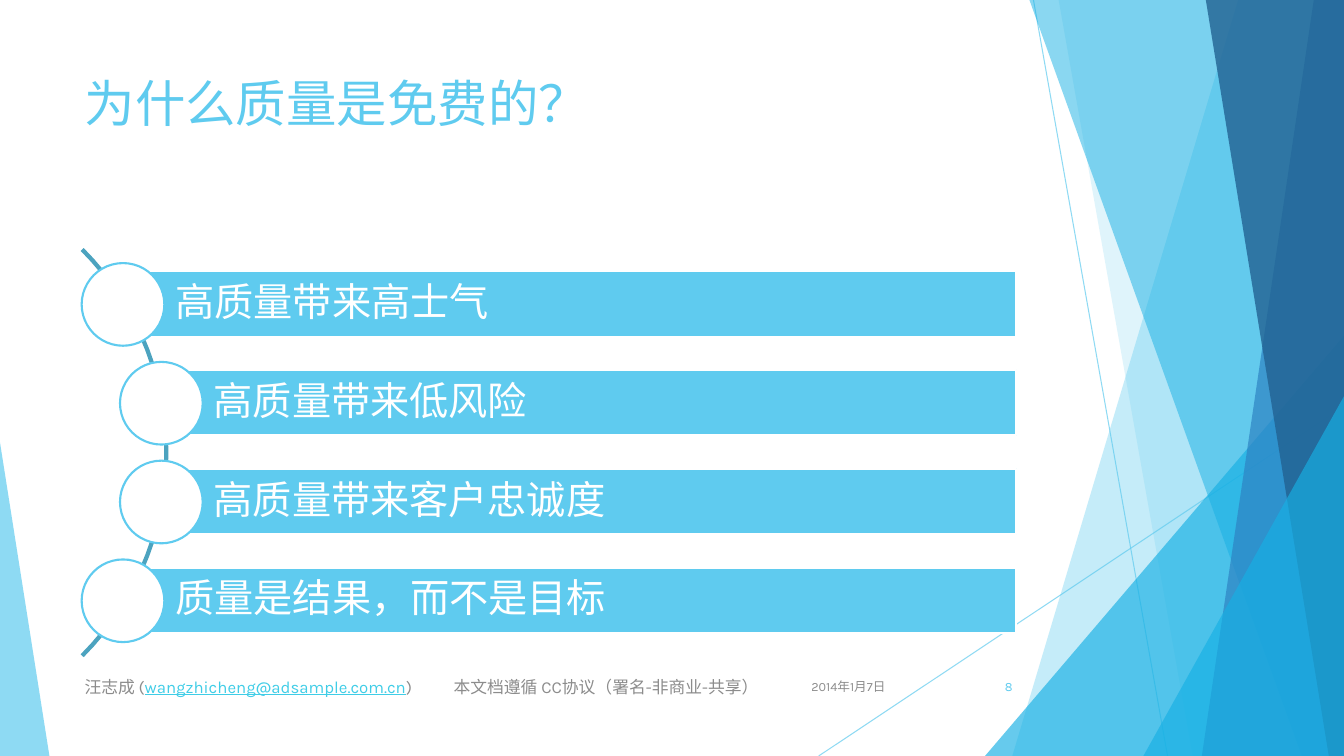
from dataclasses import dataclass
from math import cos, radians, sin

from lxml.etree import SubElement
from pptx import Presentation
from pptx.dml.color import RGBColor
from pptx.enum.shapes import MSO_CONNECTOR, MSO_SHAPE
from pptx.enum.text import MSO_ANCHOR, MSO_AUTO_SIZE, PP_ALIGN
from pptx.oxml.ns import qn
from pptx.util import Pt

PX = 9144  # 100 px to the inch
W, H = 1333, 750
SKY, CYAN, BLUE, NAVY = "5FCBEF", "17B0E4", "2E83C3", "226292"
ARC, LINK, GREY, WHITE = "4CA3BF", "3FCDE7", "8C8C8C", "FFFFFF"
FONT = "Karla"


@dataclass
class Shard:
    """A quadrilateral that reaches the right edge of the slide."""
    top: int
    bottom: int
    color: str
    alpha: int


@dataclass
class Corner:
    """A right-angled triangle standing on the bottom edge."""
    x: int
    y: int
    w: int
    apex: int
    color: str
    alpha: int


@dataclass
class Ray:
    x1: int
    y1: int
    x2: int
    y2: int


@dataclass
class Reason:
    text: str
    x: int


BACKDROP = [
    Ray(1025, 0, 1158, H),
    Ray(W, 403, 812, H),
    Shard(1228, 1004, SKY, 36),
    Shard(1050, 1183, SKY, 20),
    Corner(977, 333, 356, 1, CYAN, 66),
    Shard(1021, 1291, CYAN, 50),
    Shard(1303, 1192, BLUE, 70),
    Shard(1196, 1318, NAVY, 80),
    Corner(1134, 393, 199, 1, CYAN, 66),
    Corner(0, 439, 49, 0, SKY, 70),
]
REASONS = [
    Reason("高质量带来高士气", 122),
    Reason("高质量带来低风险", 160),
    Reason("高质量带来客户忠诚度", 160),
    Reason("质量是结果，而不是目标", 122),
]
BAR_TOP, BAR_STEP, BAR_H, BAR_RIGHT = 269, 98, 65, 1008
DOT = 82
ARC_X, ARC_Y, ARC_R = -120, 449, 285


def px(n: float) -> int:
    return round(n * PX)


def paint(fmt, color: str, alpha: int = 100) -> None:
    """Give a fill a solid colour with an opacity in percent."""
    fmt.solid()
    fmt.fore_color.rgb = RGBColor.from_string(color)
    if alpha < 100:
        clr = fmt._xPr.find(qn("a:solidFill"))[0]
        SubElement(clr, qn("a:alpha"), val=str(alpha * 1000))


def style(sp, fill: str = "", line: str = "", width: float = 1.5, alpha: int = 100) -> None:
    sp.shadow.inherit = False
    if fill:
        paint(sp.fill, fill, alpha)
    else:
        sp.fill.background()
    if line:
        paint(sp.line.fill, line)
        sp.line.width = Pt(width)
    else:
        sp.line.fill.background()


def add_run(p, text: str, size: int, color: str, underline: bool = False) -> None:
    r = p.add_run()
    r.text = text
    r.font.name, r.font.size = FONT, Pt(size)
    r.font.color.rgb = RGBColor.from_string(color)
    r.font.underline = underline


def add_box(s, x: int, w: int, align=PP_ALIGN.LEFT):
    """Add a footer box and return its paragraph."""
    tf = s.shapes.add_textbox(px(x), px(661), px(w), px(40)).text_frame
    tf.word_wrap = True
    tf.vertical_anchor = MSO_ANCHOR.MIDDLE
    p = tf.paragraphs[0]
    p.alignment = align
    return p


def draw_backdrop(s) -> None:
    for item in BACKDROP:
        if isinstance(item, Ray):
            ln = s.shapes.add_connector(MSO_CONNECTOR.STRAIGHT, px(item.x1), px(item.y1),
                                        px(item.x2), px(item.y2))
            paint(ln.line.fill, SKY, 70)
            ln.line.width = Pt(0.75)
            SubElement(ln._element.spPr, qn("a:effectLst"))
            continue
        if isinstance(item, Shard):
            fb = s.shapes.build_freeform(item.top, 0, scale=PX)
            fb.add_line_segments([(W, 0), (W, H), (item.bottom, H)])
            sp = fb.convert_to_shape()
        else:
            sp = s.shapes.add_shape(MSO_SHAPE.ISOSCELES_TRIANGLE, px(item.x), px(item.y),
                                    px(item.w), px(H - item.y))
            sp.adjustments[0] = item.apex
        style(sp, item.color, alpha=item.alpha)


def draw_arc(s) -> None:
    pts = [(px(ARC_X + ARC_R * cos(radians(a))), px(ARC_Y + ARC_R * sin(radians(a))))
           for a in range(-45, 46, 3)]
    fb = s.shapes.build_freeform(*pts[0], scale=1)
    fb.add_line_segments(pts[1:], close=False)
    style(fb.convert_to_shape(), line=ARC, width=3)


def draw_reason(s, reason: Reason, y: int) -> None:
    bar = s.shapes.add_shape(MSO_SHAPE.RECTANGLE, px(reason.x), px(y),
                             px(BAR_RIGHT - reason.x), px(BAR_H))
    style(bar, SKY, WHITE)
    tf = bar.text_frame
    tf.word_wrap = True
    tf.vertical_anchor = MSO_ANCHOR.MIDDLE
    tf.margin_left = px(52)
    tf.margin_top = tf.margin_right = tf.margin_bottom = px(8)
    p = tf.paragraphs[0]
    p.alignment, p.line_spacing = PP_ALIGN.LEFT, 0.9
    add_run(p, reason.text, 28, WHITE)
    dot = s.shapes.add_shape(MSO_SHAPE.OVAL, px(reason.x - DOT // 2),
                             px(y + (BAR_H - DOT) // 2 + 1), px(DOT), px(DOT))
    style(dot, WHITE, SKY)


def draw_title(s, text: str) -> None:
    sp = s.shapes.title
    sp.left, sp.top, sp.width, sp.height = px(74), px(67), px(940), px(144)
    tf = sp.text_frame
    tf.auto_size = MSO_AUTO_SIZE.NONE
    tf.vertical_anchor = MSO_ANCHOR.TOP
    p = tf.paragraphs[0]
    p.alignment = PP_ALIGN.LEFT
    add_run(p, text, 36, SKY)


def draw_footer(s) -> None:
    add_run(add_box(s, 788, 100, PP_ALIGN.RIGHT), "2014年1月7日", 9, GREY)
    add_run(add_box(s, 939, 75, PP_ALIGN.RIGHT), "8", 9, SKY)
    p = add_box(s, 74, 689)
    tabs = SubElement(p._p.get_or_add_pPr(), qn("a:tabLst"))
    SubElement(tabs, qn("a:tab"), pos=str(px(366)), algn="l")
    add_run(p, "汪志成 (", 12, GREY)
    add_run(p, "wangzhicheng@adsample.com.cn", 12, LINK, underline=True)
    add_run(p, ")\t本文档遵循 CC协议（署名-非商业-共享）", 12, GREY)


def main() -> None:
    prs = Presentation()
    prs.slide_width, prs.slide_height = px(W), px(H)
    s = prs.slides.add_slide(prs.slide_layouts[5])
    draw_backdrop(s)
    draw_title(s, "为什么质量是免费的？")
    draw_arc(s)
    for i, reason in enumerate(REASONS):
        draw_reason(s, reason, BAR_TOP + i * BAR_STEP)
    draw_footer(s)
    prs.save("out.pptx")


if __name__ == "__main__":
    main()
